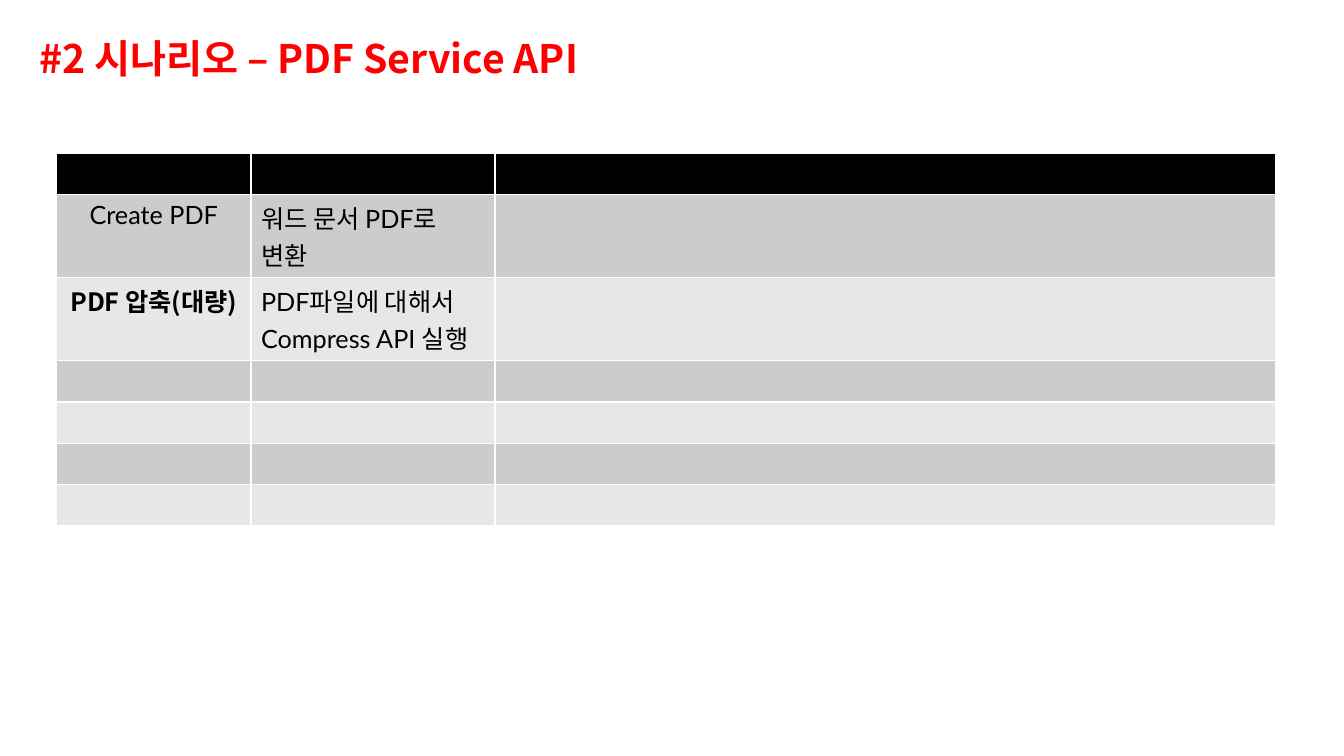
from lxml.etree import SubElement
from pptx import Presentation
from pptx.dml.color import RGBColor
from pptx.enum.text import MSO_ANCHOR, PP_ALIGN
from pptx.oxml.ns import qn
from pptx.util import Pt

TITLE = "#2 시나리오 – PDF Service API"
SCENARIOS = [
    ("Create PDF", "워드 문서 PDF로 변환"),
    ("PDF 압축(대량)", "PDF파일에 대해서 Compress API 실행"),
]
ROW_COUNT = 7
COLUMN_WIDTHS = [193, 242, 774]
ROW_HEIGHT = 41

LATIN_FONT = "Lato"
KOREAN_FONT = "Noto Sans CJK KR"
RED = RGBColor(0xFF, 0x00, 0x00)
BLACK = RGBColor(0x00, 0x00, 0x00)
DARK_BAND = RGBColor(0xCC, 0xCC, 0xCC)
LIGHT_BAND = RGBColor(0xE7, 0xE7, 0xE7)

SCALE = 9144  # EMU per px, 100 px to the inch


def px(length):
    return length * SCALE


def style(para, size, name, color, bold, align):
    """Format a paragraph, with the Korean font for East Asian letters."""
    para.alignment = align
    font = para.font
    font.size, font.name, font.bold = Pt(size), name, bold
    font.color.rgb = color
    properties = para._p.pPr.find(qn("a:defRPr"))
    east_asian = SubElement(properties, qn("a:ea"))
    east_asian.set("typeface", KOREAN_FONT)
    properties.find(qn("a:latin")).addnext(east_asian)


def add_title(page):
    title = page.shapes.title
    title.left, title.top, title.width, title.height = map(px, (34, 34, 1257, 71))
    frame = title.text_frame
    frame.text = TITLE
    frame.word_wrap = True
    frame.vertical_anchor = MSO_ANCHOR.TOP
    frame.margin_left = frame.margin_right = px(5)
    frame.margin_top = frame.margin_bottom = px(5)
    para = frame.paragraphs[0]
    para.line_spacing = 0.9
    style(para, 28, KOREAN_FONT, RED, True, PP_ALIGN.LEFT)


def add_scenario_table(page):
    table = page.shapes.add_table(
        ROW_COUNT, len(COLUMN_WIDTHS), px(56), px(152),
        px(sum(COLUMN_WIDTHS)), px(ROW_HEIGHT * ROW_COUNT)).table
    for column, width in zip(table.columns, COLUMN_WIDTHS):
        column.width = px(width)
    for index, row in enumerate(table.rows):
        row.height = px(ROW_HEIGHT)
        band = DARK_BAND if index % 2 else LIGHT_BAND
        for cell in row.cells:
            cell.fill.solid()
            cell.fill.fore_color.rgb = band if index else BLACK
    for index, (name, detail) in enumerate(SCENARIOS, start=1):
        bold = index == 2
        name_cell, detail_cell = table.cell(index, 0), table.cell(index, 1)
        name_cell.text, detail_cell.text = name, detail
        style(name_cell.text_frame.paragraphs[0], 18,
              KOREAN_FONT if bold else LATIN_FONT, BLACK, bold, PP_ALIGN.CENTER)
        style(detail_cell.text_frame.paragraphs[0], 18,
              LATIN_FONT, BLACK, False, PP_ALIGN.LEFT)


def main():
    deck = Presentation()
    deck.slide_width, deck.slide_height = px(1333), px(750)
    page = deck.slides.add_slide(deck.slide_layouts[5])
    add_title(page)
    add_scenario_table(page)
    deck.save("out.pptx")


if __name__ == "__main__":
    main()
